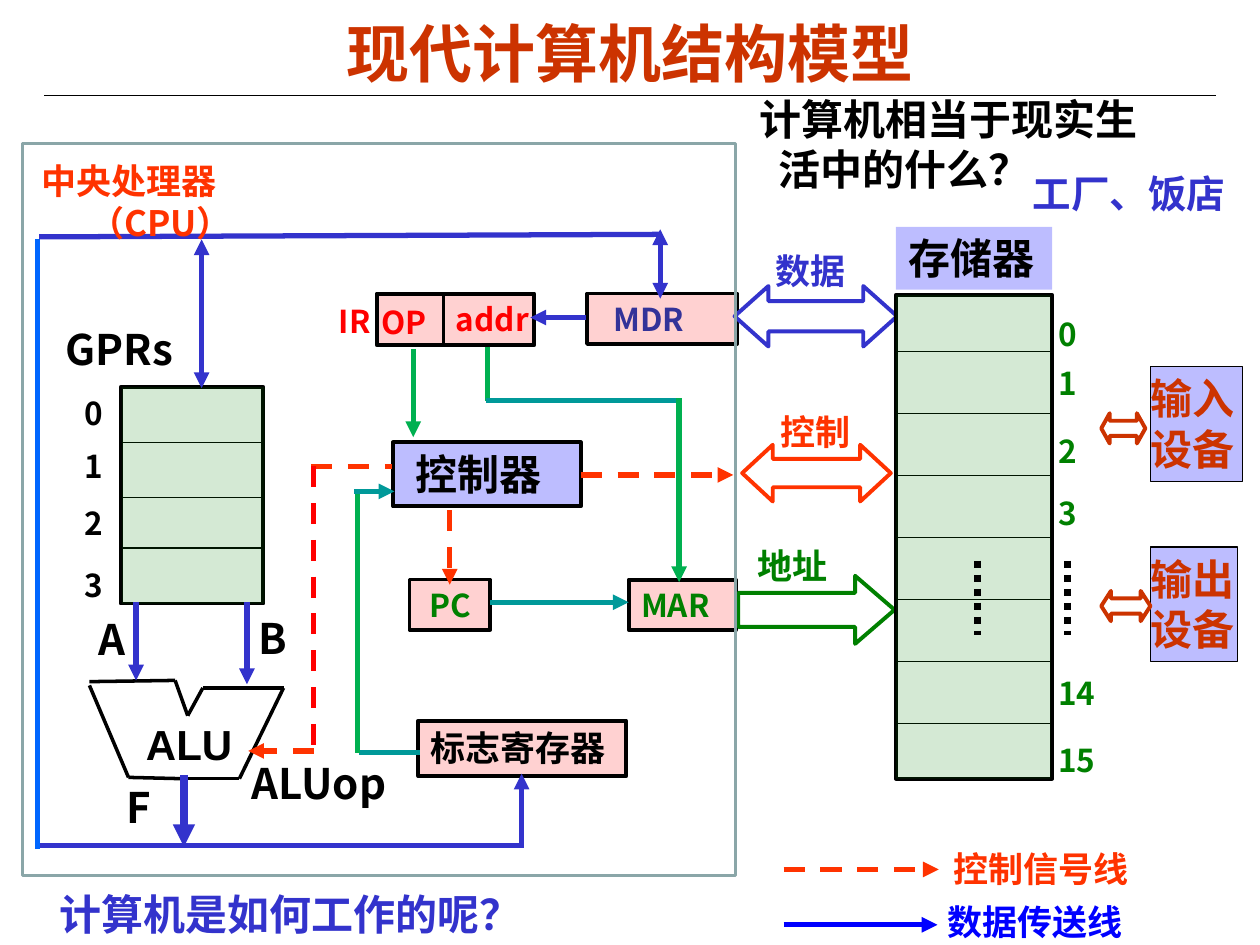
from lxml import etree
from pptx import Presentation
from pptx.dml.color import RGBColor
from pptx.enum.dml import MSO_LINE
from pptx.enum.shapes import MSO_CONNECTOR, MSO_SHAPE
from pptx.enum.text import MSO_ANCHOR, PP_ALIGN
from pptx.oxml.ns import qn
from pptx.util import Inches, Pt

RECT, BOTH, RIGHT = MSO_SHAPE.RECTANGLE, MSO_SHAPE.LEFT_RIGHT_ARROW, MSO_SHAPE.RIGHT_ARROW
DASH, DOT = MSO_LINE.DASH, MSO_LINE.ROUND_DOT
STRAIGHT, CENTER = MSO_CONNECTOR.STRAIGHT, PP_ALIGN.CENTER
TOP, MIDDLE = MSO_ANCHOR.TOP, MSO_ANCHOR.MIDDLE
CJK, ARIAL = "Noto Sans CJK SC", "Arial"
rgb = RGBColor.from_string

BLACK, WHITE, RED, ORANGE, RUST = "000000", "FFFFFF", "FF0000", "FF3300", "CC3300"
BLUE, GREEN, LEAF, TEAL = "3333CC", "008000", "00B050", "009999"
PINK, LILAC, MINT = (RED, 18), ("0000FF", 26), (GREEN, 17)  # colour, opacity in %

prs = Presentation()
prs.slide_width, prs.slide_height = Inches(10), Inches(7.5)
s = prs.slides.add_slide(prs.slide_layouts[6])
CELL = prs.slide_width / 100  # the slide is a grid of 100 columns and 75 rows


def box(at, text="", size=18, color=BLACK, fill=None, line=None, width=2.25, kind=RECT,
        adj=None, font=CJK, first=0, left=1, right=1, align=None, anchor=TOP):
    """Shape or text box; first shifts the first line, left and right are insets."""
    at = [round(v * CELL) for v in at]
    if fill or line:
        sp = s.shapes.add_shape(kind, *at)
        sp.shadow.inherit = False
        if fill:
            hue, alpha = fill
            sp.fill.solid()
            sp.fill.fore_color.rgb = rgb(hue)
            if alpha < 100:
                clr = sp.fill._xPr.find(".//" + qn("a:srgbClr"))
                etree.SubElement(clr, qn("a:alpha"), val=str(alpha * 1000))
        else:
            sp.fill.background()
        if line:
            sp.line.color.rgb = rgb(line)
            sp.line.width = Pt(width)
        else:
            sp.line.fill.background()
        if adj:
            sp.adjustments[0], sp.adjustments[1] = 0.5, adj
    else:
        sp = s.shapes.add_textbox(*at)
    if not text:
        return
    tf = sp.text_frame
    tf.word_wrap = True
    tf.vertical_anchor = anchor
    tf.margin_left, tf.margin_right = round(left * CELL), round(right * CELL)
    for i, words in enumerate(text.split("\n")):
        p = tf.add_paragraph() if i else tf.paragraphs[0]
        p.alignment = align or PP_ALIGN.LEFT
        if not align:
            pPr = p._p.get_or_add_pPr()
            pPr.set("marL", str(round(3.8 * CELL)))
            pPr.set("indent", str(round((first - 3.8) * CELL)))
        r = p.add_run()
        r.text = words
        r.font.size, r.font.bold, r.font.name = Pt(size), True, font
        r.font.color.rgb = rgb(color)
        etree.SubElement(r._r.get_or_add_rPr(), qn("a:ea"), typeface=CJK)


def line(x1, y1, x2, y2, color=BLACK, width=3, ends="", dash=None):
    """Straight line; ends may name head and tail arrows."""
    sp = s.shapes.add_connector(STRAIGHT, *[round(v * CELL) for v in (x1, y1, x2, y2)])
    sp.line.color.rgb = rgb(color)
    sp.line.width = Pt(width)
    if dash:
        sp.line.dash_style = dash
    for end in ends.split():
        etree.SubElement(sp.line._get_or_add_ln(), qn(f"a:{end}End"), type="triangle")
    etree.SubElement(sp._element.spPr, qn("a:effectLst"))


# Title
line(3.5, 7.6, 96.5, 7.6, width=0.75)
box((5, 1.1, 90, 6.1), "现代计算机结构模型", 36, RUST, font=ARIAL, align=CENTER, anchor=MIDDLE)

# General registers
box((4.2, 25.2, 12.8, 5), "GPRs", 24)
box((9.6, 30.7, 11.3, 17.2), fill=(WHITE, 100), line=BLACK)
for y in (35.1, 39.5, 43.5):
    line(9.6, y, 20.9, y, width=0.75)
for i, y in enumerate((30.8, 35, 39.5, 44.4)):
    box((5.7, y, 3.5, 4), str(i))
box((9.7, 30.7, 11.3, 17.2), fill=MINT)

# ALU outline
alu = [(7.1, 54.1), (13.9, 54), (14.9, 56.8), (16.1, 54.6), (22.5, 54.6),
       (19, 61.8), (14.4, 61.8), (10.2, 61.7), (7.1, 54.4)]
for start, end in zip(alu, alu[1:]):
    line(*start, *end, width=2)
box((10.6, 56.5, 8.9, 5.1), "ALU", 24, font=ARIAL)

# Control unit and special registers
box((32.5, 46, 6.4, 4), "PC", 18, GREEN, PINK, BLACK, 2, first=0.6)
box((49.9, 46, 8.5, 4), "MAR", 18, GREEN, PINK, BLACK)
box((46.6, 23.3, 11.9, 4), "MDR", 18, "333399", PINK, BLACK, first=1.1)
box((33.2, 57.2, 16.5, 4.4), "标志寄存器", 20, BLACK, PINK, BLACK)
box((31.2, 35.1, 14.9, 5.1), "控制器", 24, BLACK, LILAC, BLACK, first=0.8)
box((29.9, 23.3, 12.5, 4.1), fill=PINK, line=BLACK)
line(35.2, 23.3, 35.2, 27.4, width=2)
for at, name in (((25.9, 23.5, 5.4, 4), "IR"), ((29.3, 23.6, 6.2, 4), "OP"),
                 ((35.2, 23.3, 8.2, 4), "addr")):
    box(at, name, 18, RED)

# Buses between processor and memory
for label_at, label, color, arrow_at, kind, adj in (
        ((60.6, 19.3, 8.8, 5), "数据", BLUE, (58.3, 22.7, 12.9, 4.8), BOTH, 0.56),
        ((61, 32.1, 8.3, 5), "控制", ORANGE, (58.9, 35.3, 11.8, 4.5), BOTH, 0.54),
        ((59.1, 42.7, 9.8, 5), "地址", GREEN, (58.6, 45.7, 12.4, 5.4), RIGHT, 0.58)):
    box(arrow_at, fill=(WHITE, 100), line=color, kind=kind, adj=adj)
    box(label_at, label, 20, color)

# Memory
box((71.1, 18, 12.4, 5), "存储器", 24, fill=LILAC)
box((71.1, 23.4, 12.4, 38.4), fill=(WHITE, 100), line=BLACK)
for i in range(7):
    y = 27.9 + 4.92 * i
    line(71.1, y, 83.5, y, width=0.75)
for name, y in (("0", 24.5), ("1", 28.4), ("2", 33.8), ("3", 38.7), ("14", 53), ("15", 58.3)):
    box((83, y, 2 * len(name) + 1.3, 4), name, 18, GREEN)
box((71.1, 23.4, 12.3, 38.4), fill=MINT)
for x in (77.6, 84.7):
    line(x, 44.5, x, 50.4, width=4, dash=DOT)

# Input and output devices
for name, y, w, arrow_y, arrow_w, adj in (("输入", 29.1, 7.3, 32.8, 3.5, 0.28),
                                          ("输出", 43.4, 6.9, 46.9, 3.9, 0.32)):
    box((91.3, y, w, 9.1), name + "\n设备", 24, RUST, LILAC, BLACK, 0.75, left=0, right=0)
    box((87.4, arrow_y, arrow_w, 2.4), fill=(WHITE, 100), line=RUST, kind=BOTH, adj=adj)

# Data paths
for x1, y1, x2, y2, color, ends in (
        (10.8, 47.8, 10.8, 54, BLUE, "tail"),
        (19.6, 47.8, 19.6, 54.3, BLUE, "tail"),
        (3.1, 67.1, 41.6, 67.1, BLUE, ""),
        (41.4, 66.9, 41.4, 61.4, BLUE, "tail"),
        (3, 67.4, 3, 19, "0066FF", ""),
        (3.1, 18.8, 52.5, 18.6, BLUE, ""),
        (52.4, 18.2, 52.4, 23.7, BLUE, "head tail"),
        (16, 19, 16, 30.8, BLUE, "head tail"),
        (46.5, 25.2, 42.1, 25.2, BLUE, "tail"),
        (32.8, 27.7, 32.8, 34.7, LEAF, "tail"),
        (38.9, 47.8, 49.9, 47.8, TEAL, "tail"),
        (38.7, 27.5, 38.7, 31.8, LEAF, ""),
        (38.6, 31.8, 53.9, 31.8, TEAL, ""),
        (53.9, 31.6, 53.9, 46.2, LEAF, "tail"),
        (28.5, 59.7, 33.3, 59.7, TEAL, ""),
        (28.4, 39, 28.4, 59.8, LEAF, ""),
        (28.1, 39, 31.3, 39, TEAL, "tail")):
    line(x1, y1, x2, y2, color, ends=ends)
line(14.6, 61.5, 14.6, 67.2, BLUE, 4.25, "tail")

# Control signals
for x1, y1, x2, y2, color, ends in (
        (46.1, 37.7, 58.2, 37.7, ORANGE, "tail"),
        (24.7, 37, 31.1, 37, ORANGE, ""),
        (24.9, 59.6, 19.7, 59.6, ORANGE, "tail"),
        (24.9, 37, 24.9, 59.4, RED, ""),
        (35.7, 40.5, 35.7, 46.4, ORANGE, "tail")):
    line(x1, y1, x2, y2, color, ends=ends, dash=DASH)

# Legend
line(62.2, 69, 74.5, 69, ORANGE, ends="tail", dash=DASH)
box((74.7, 66.8, 18.6, 4.4), "控制信号线", 20, ORANGE)
line(62.2, 73.4, 74.4, 73.4, "0000FF", ends="tail")
box((74.2, 71, 18.6, 4.4), "数据传送线", 20, "0000FF")

# Processor frame
box((1.8, 11.4, 56.6, 58.1), line="8AA6A8", width=2)
box((2.3, 12.2, 28, 4.4), "中央处理器（CPU）", 20, ORANGE, right=8)

# Labels around the ALU
for at, name in (((9.1, 61.5, 3.7, 5), "F"), ((6.8, 48.2, 6.8, 5), "A"),
                 ((19.5, 48.1, 6.8, 5), "B"), ((19, 59.6, 13.8, 5.1), "ALUop")):
    box(at, name, 24)

# Questions and answer
box((81, 13, 17.4, 4.7), "工厂、饭店", 22, BLUE, right=0)
box((3.7, 70, 44.8, 5), "计算机是如何工作的呢？", 24, BLUE)
box((57, 6.9, 36, 9.1), "计算机相当于现实生活中的什么？", 24, first=2.3)

prs.save("out.pptx")
